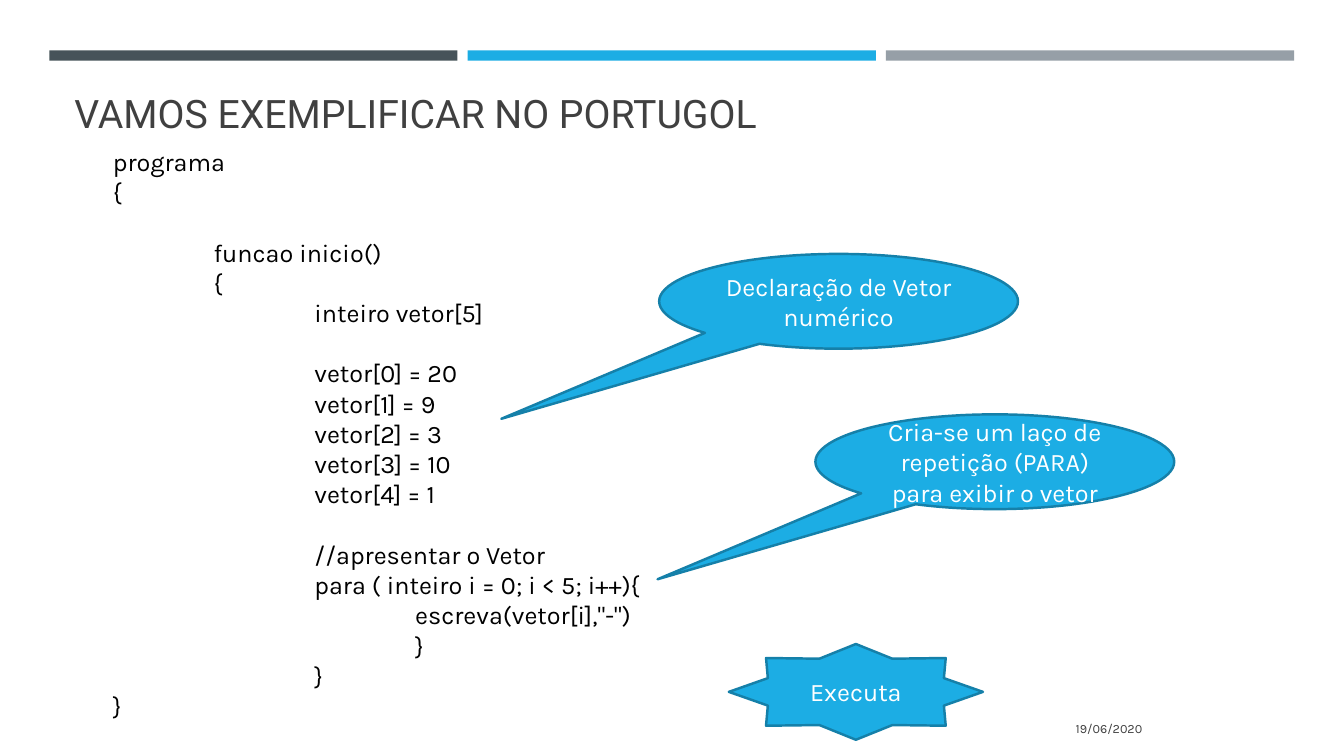
from pptx import Presentation
from pptx.dml.color import RGBColor
from pptx.enum.shapes import MSO_SHAPE as SHAPE
from pptx.enum.text import MSO_ANCHOR as ANCHOR, PP_ALIGN as ALIGN
from pptx.util import Pt

COLORS = {
    "slate": "465359", "blue": "1CADE4", "gray": "969FA7", "outline": "1580A9",
    "heading": "404040", "code": "000000", "white": "FFFFFF",
}
LINE_PITCH = 21.6
TAB_WIDTH = 72

PROGRAM = """programa
{

\tfuncao inicio()
\t{
\t\tinteiro vetor[5]

\t\tvetor[0] = 20
\t\tvetor[1] = 9
\t\tvetor[2] = 3
\t\tvetor[3] = 10
\t\tvetor[4] = 1

\t\t//apresentar o Vetor
\t\tpara ( inteiro i = 0; i < 5; i++){
\t\t\tescreva(vetor[i],"-")
\t\t\t}
\t\t}
}"""


def write(shape, text, size=18, font="Karla", color="white",
          align=ALIGN.CENTER, anchor=ANCHOR.MIDDLE):
    """Turn leading tabs into indents and blank lines into space before."""
    frame = shape.text_frame
    frame.word_wrap = True
    frame.vertical_anchor = anchor
    gap = 0
    paragraph = frame.paragraphs[0]
    for number, line in enumerate(text.split("\n")):
        if not line:
            gap = LINE_PITCH
            continue
        if number:
            paragraph = frame.add_paragraph()
        paragraph.alignment = align
        paragraph.space_before = Pt(gap)
        gap = 0
        properties = paragraph._p.get_or_add_pPr()
        properties.set("marL", str(Pt(TAB_WIDTH * line.count("\t"))))
        properties.set("indent", "0")
        run = paragraph.add_run()
        run.text = line.lstrip("\t")
        run.font.size = Pt(size)
        run.font.name = font
        run.font.color.rgb = RGBColor.from_string(COLORS[color])


def add_filled(kind, left, top, width, height, fill, outline=None):
    shape = slide.shapes.add_shape(kind, Pt(left), Pt(top), Pt(width), Pt(height))
    shape.shadow.inherit = False
    shape.fill.solid()
    shape.fill.fore_color.rgb = RGBColor.from_string(COLORS[fill])
    if outline:
        shape.line.color.rgb = RGBColor.from_string(COLORS[outline])
        shape.line.width = Pt(1.75)
    else:
        shape.line.fill.background()
    return shape


deck = Presentation()
deck.slide_width, deck.slide_height = Pt(960), Pt(540)
slide = deck.slides.add_slide(deck.slide_layouts[5])

# Header bands
for column, band_color in enumerate(["slate", "blue", "gray"]):
    add_filled(SHAPE.RECTANGLE, 35.2 + 298.8 * column, 36, 291.6, 7.4, band_color)

# Title
title = slide.shapes.title
title.left, title.top, title.width, title.height = Pt(46), Pt(55.5), Pt(868), Pt(45.3)
write(title, "VAMOS EXEMPLIFICAR NO PORTUGOL", size=28, font="Roboto",
      color="heading", align=ALIGN.LEFT, anchor=ANCHOR.BOTTOM)

# Date
date = slide.shapes.add_textbox(Pt(599), Pt(506.2), Pt(224), Pt(28.8))
write(date, "19/06/2020", size=9, color="heading", align=ALIGN.RIGHT)

# Program listing
listing = slide.shapes.add_textbox(Pt(73.5), Pt(100.8), Pt(417), Pt(422))
write(listing, PROGRAM, color="code", align=ALIGN.LEFT, anchor=ANCHOR.TOP)

# Callouts pointing at the listing
for left, top, remark in [
    (470.9, 181.4, "Declaração de Vetor numérico"),
    (582.5, 296, "Cria-se um laço de repetição (PARA) para exibir o vetor"),
]:
    callout = add_filled(SHAPE.OVAL_CALLOUT, left, top, 256.3, 67.7, "blue", "outline")
    callout.adjustments[0], callout.adjustments[1] = -0.94, 1.24
    write(callout, remark)

# Run button
run_star = add_filled(SHAPE.STAR_8_POINT, 520.6, 460, 181.5, 68.4, "blue", "outline")
write(run_star, "Executa")

deck.save("out.pptx")
